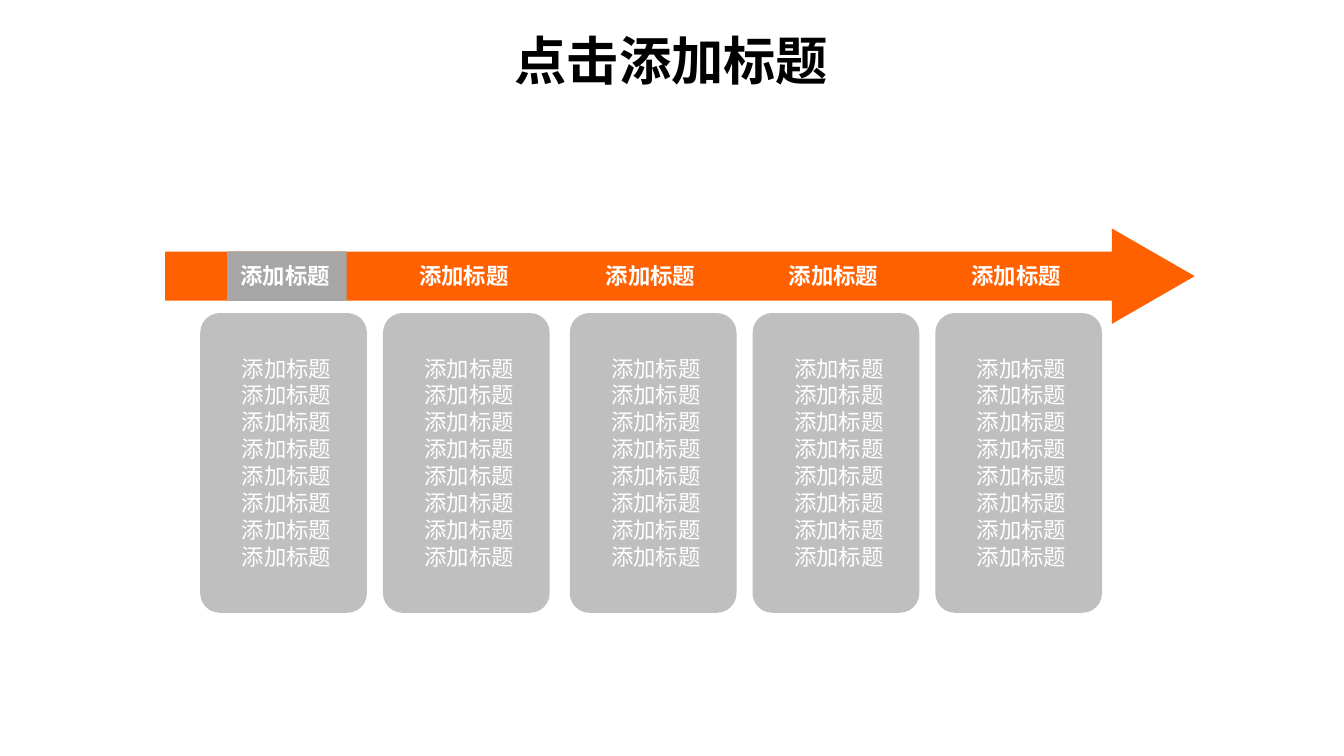
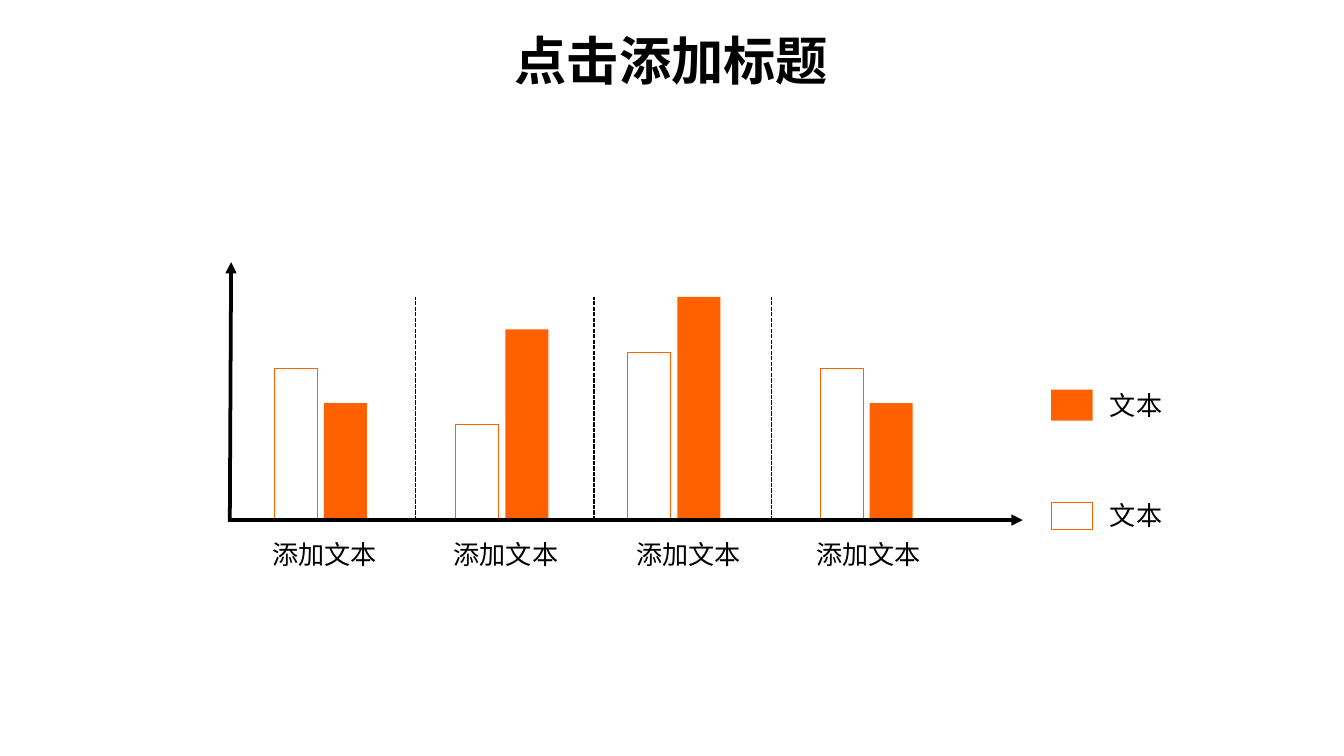
from pptx import Presentation
from pptx.dml.color import RGBColor
from pptx.enum.dml import MSO_LINE
from pptx.enum.shapes import MSO_CONNECTOR, MSO_SHAPE
from pptx.enum.text import MSO_ANCHOR, MSO_AUTO_SIZE, PP_ALIGN
from pptx.oxml.ns import qn
from pptx.util import Inches, Pt
from lxml import etree

RECT = MSO_SHAPE.RECTANGLE
ROUND = MSO_SHAPE.ROUNDED_RECTANGLE
ARROW = MSO_SHAPE.RIGHT_ARROW
STRAIGHT = MSO_CONNECTOR.STRAIGHT
DASH = MSO_LINE.SQUARE_DOT
TOP = MSO_ANCHOR.TOP
FIXED = MSO_AUTO_SIZE.NONE
LEFT, CENTER = PP_ALIGN.LEFT, PP_ALIGN.CENTER

COLORS = {
    "orange": "FF6100",
    "tag": "A6A6A6",
    "card": "BFBFBF",
    "white": "FFFFFF",
    "black": "000000",
}
SANS = "Noto Sans CJK SC"
HEAD = "Noto Sans CJK JP"
LATIN = "Calibri"
LEADING = 1.2


def color(name):
    return RGBColor.from_string(COLORS[name])


def write(shape, lines, size, hue, font=SANS, bold=False, align=LEFT, wrap=True):
    """Fill a text shape with evenly led lines."""
    frame = shape.text_frame
    frame.text = "\n".join(lines)
    frame.word_wrap = wrap
    frame.auto_size = FIXED
    frame.vertical_anchor = TOP
    frame.margin_left = frame.margin_right = Inches(0.1)
    frame.margin_top = frame.margin_bottom = Inches(0.05)
    for para in frame.paragraphs:
        para.alignment = align
        para.line_spacing = Pt(size * LEADING)
        para.space_before = Pt(0)
        para.font.name = font
        para.font.size = Pt(size)
        para.font.bold = bold
        para.font.color.rgb = color(hue)
        for run in para.runs:
            asian = etree.SubElement(run._r.get_or_add_rPr(), qn("a:ea"))
            asian.set("typeface", HEAD if font == HEAD else SANS)


def label(slide, x, y, w, h, lines, size, hue, **style):
    box = slide.shapes.add_textbox(Inches(x), Inches(y), Inches(w), Inches(h))
    write(box, lines, size, hue, **style)


def block(slide, kind, x, y, w, h, fill=None, edge=None):
    shape = slide.shapes.add_shape(kind, Inches(x), Inches(y), Inches(w), Inches(h))
    shape.shadow.inherit = False
    if fill:
        shape.fill.solid()
        shape.fill.fore_color.rgb = color(fill)
    else:
        shape.fill.background()
    if edge:
        shape.line.color.rgb = color(edge)
        shape.line.width = Pt(0.25)
    else:
        shape.line.fill.background()
    return shape


def rule(slide, x1, y1, x2, y2, width, dash=None, tip=None):
    """Draw a line; tip names the end that carries an arrowhead."""
    line = slide.shapes.add_connector(
        STRAIGHT, Inches(x1), Inches(y1), Inches(x2), Inches(y2))
    line.line.color.rgb = color("black")
    line.line.width = Pt(width)
    if dash:
        line.line.dash_style = dash
    props = line._element.spPr
    if tip:
        end = etree.SubElement(props.find(qn("a:ln")), qn(f"a:{tip}End"))
        end.set("type", "triangle")
    etree.SubElement(props, qn("a:effectLst"))


def start(deck):
    """Add a slide with the shared title."""
    slide = deck.slides.add_slide(deck.slide_layouts[5])
    title = slide.shapes.title
    title.left, title.top = Inches(2.95), Inches(0.16)
    title.width, title.height = Inches(4.09), Inches(0.57)
    write(title, ["点击添加标题"], 28, "black", font=HEAD, bold=True, align=CENTER)
    return slide


def band(slide, x, y):
    """Orange arrow with a grey tag for the first step."""
    arrow = block(slide, ARROW, x, y, 7.66, 0.71, "orange")
    arrow.adjustments[0] = 0.513
    arrow.adjustments[1] = 0.868
    block(slide, RECT, x + 0.46, y + 0.17, 0.89, 0.37, "tag")


def step(slide, x, y, inset):
    """Step heading above its card."""
    label(slide, x + inset, y - 0.43, 0.9, 0.3, ["添加标题"], 12, "white", bold=True)
    card = block(slide, ROUND, x, y, 1.24, 2.23, "card")
    card.adjustments[0] = 0.117
    # The first line wraps in two
    lines = ["添加标题" * 2] + ["添加标题"] * 6
    label(slide, x + 0.21, y + 0.26, 0.9, 1.72, lines, 12, "white")


def process(deck):
    slide = start(deck)
    band(slide, 1.23, 1.7)
    for i, x in enumerate((1.49, 2.85, 4.24, 5.6, 6.96)):
        step(slide, x, 2.33, 0.17 if i else 0.2)


def graph(slide, x, base):
    """Paired bars between two axes, with dividers and labels."""
    pairs = [(0.34, 1.13, 0.87), (1.69, 0.71, 1.42),
             (2.97, 1.25, 1.66), (4.4, 1.13, 0.87)]
    # Dividers and vertical axis
    for left in (1.39, 2.72, 4.04):
        rule(slide, x + left, base, x + left, base - 1.66, 0.75, dash=DASH)
    rule(slide, x + 0.02, base - 1.92, x + 0.01, base + 0.01, 2, tip="head")
    # Category labels
    for left in (0.2, 1.55, 2.91, 4.25):
        label(slide, x + left, base + 0.09, 1.03, 0.33, ["添加文本"],
              14, "black", font=LATIN, align=CENTER)
    # Bars
    for left, hollow, solid in pairs:
        block(slide, RECT, x + left, base - hollow, 0.32, hollow, edge="orange")
        block(slide, RECT, x + left + 0.37, base - solid, 0.32, solid, "orange")
    # Horizontal axis
    rule(slide, x, base, x + 5.91, base, 2, tip="tail")


def legend(slide, x, y):
    block(slide, RECT, x, y, 0.31, 0.23, "orange")
    block(slide, RECT, x, y + 0.84, 0.31, 0.2, edge="orange")
    for i in range(2):
        label(slide, x + 0.34, y - 0.05 + 0.82 * i, 0.59, 0.34, ["文本"],
              14, "black", wrap=False)


def compare(deck):
    slide = start(deck)
    graph(slide, 1.7, 3.87)
    legend(slide, 7.82, 2.9)


def main():
    deck = Presentation()
    # Wide 16:9 page
    deck.slide_width = Inches(10)
    deck.slide_height = deck.slide_width * 9 // 16
    process(deck)
    compare(deck)
    deck.save("out.pptx")


if __name__ == "__main__":
    main()
